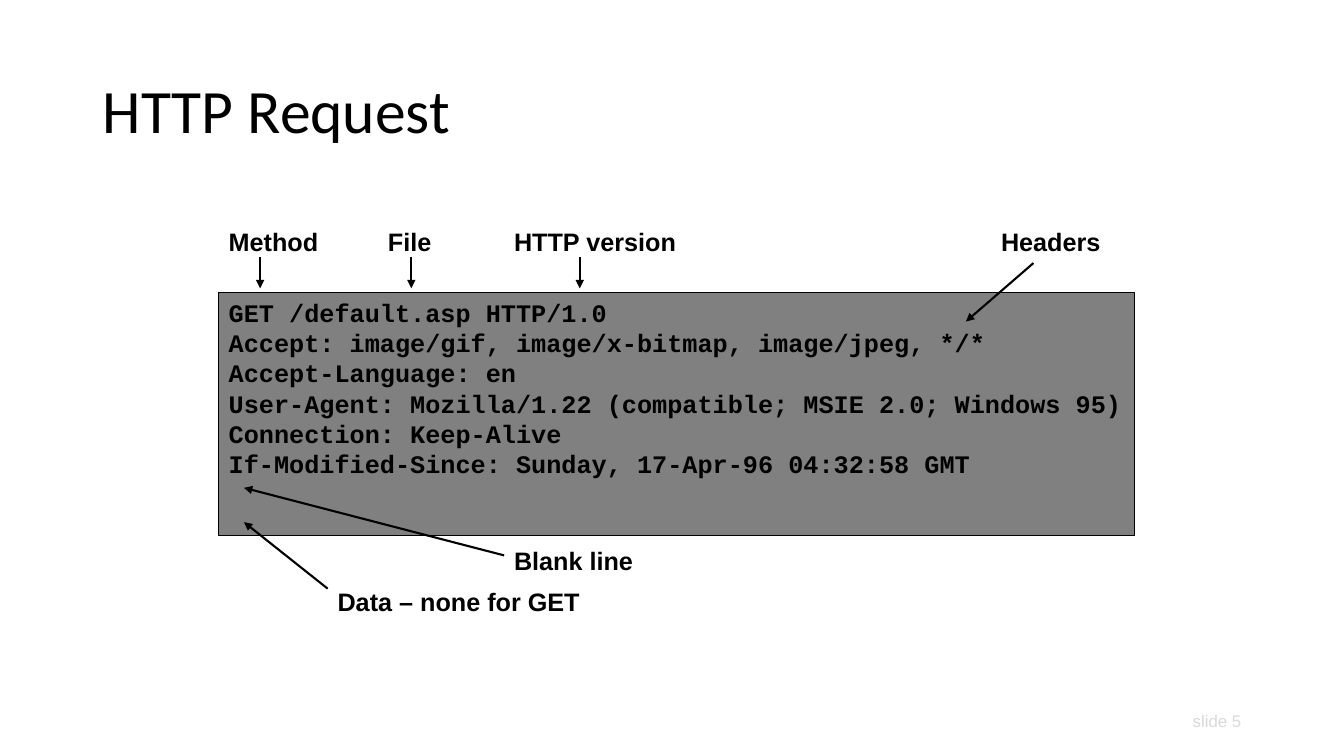
import pptx
import pptx.dml.color
import pptx.enum.shapes
import pptx.enum.text
import pptx.oxml
import pptx.oxml.ns
import pptx.util
from pptx.util import Inches

BLACK = pptx.dml.color.RGBColor(0x00, 0x00, 0x00)
GRAY = pptx.dml.color.RGBColor(0x80, 0x80, 0x80)
PALE_GRAY = pptx.dml.color.RGBColor(0xD9, 0xD9, 0xD9)
ANCHOR = pptx.enum.text.MSO_ANCHOR
ALIGN = pptx.enum.text.PP_ALIGN
AUTO_SIZE = pptx.enum.text.MSO_AUTO_SIZE

presentation = pptx.Presentation()
presentation.slide_width = Inches(13.33)
presentation.slide_height = Inches(7.5)
slide = presentation.slides.add_slide(presentation.slide_layouts[6])


def write_lines(shape, lines, font_name, size, bold=False, color=BLACK, alignment=ALIGN.LEFT):
    font_format = {"name": font_name, "size": pptx.util.Pt(size), "bold": bold}
    frame = shape.text_frame
    frame.text = "\n".join(lines)
    for paragraph in frame.paragraphs:
        paragraph.alignment = alignment
        for run in paragraph.runs:
            for attribute, value in font_format.items():
                setattr(run.font, attribute, value)
            run.font.color.rgb = color
    return frame


request_lines = [
    "GET /default.asp HTTP/1.0",
    "Accept: image/gif, image/x-bitmap, image/jpeg, */*",
    "Accept-Language: en",
    "User-Agent: Mozilla/1.22 (compatible; MSIE 2.0; Windows 95)",
    "Connection: Keep-Alive",
    "If-Modified-Since: Sunday, 17-Apr-96 04:32:58 GMT",
]
request_box = slide.shapes.add_shape(
    pptx.enum.shapes.MSO_SHAPE.RECTANGLE, Inches(2.17), Inches(2.9), Inches(9.08), Inches(2.41)
)
request_box.shadow.inherit = False
request_box.fill.solid()
request_box.fill.fore_color.rgb = GRAY
request_box.line.color.rgb = BLACK
request_box.line.width = pptx.util.Pt(0.75)
request_frame = write_lines(request_box, request_lines, "Courier New", 18, bold=True)
request_frame.word_wrap = True
request_frame.vertical_anchor = ANCHOR.TOP

title = slide.shapes.add_textbox(Inches(0.92), Inches(0.4), Inches(11.5), Inches(1.45))
title_frame = write_lines(title, ["HTTP Request"], "Calibri", 44)
title_frame.word_wrap = True
title_frame.vertical_anchor = ANCHOR.MIDDLE
title_frame.paragraphs[0].line_spacing = 0.9

labels = [
    ("Method", 2.17, 2.2, 1.09),
    ("File", 3.75, 2.2, 0.63),
    ("HTTP version", 5, 2.2, 1.81),
    ("Headers", 9.83, 2.2, 1.19),
    ("Data – none for GET", 3.25, 5.77, 2.6),
    ("Blank line", 5, 5.36, 1.38),
]
for text, left, top, width in labels:
    label = slide.shapes.add_textbox(Inches(left), Inches(top), Inches(width), Inches(0.4))
    label_frame = write_lines(label, [text], "Arial", 18, bold=True)
    label_frame.word_wrap = False
    label_frame.auto_size = AUTO_SIZE.SHAPE_TO_FIT_TEXT

arrows = [(x, 2.55, x, 2.86) for x in (2.58, 4.08, 5.75)] + [
    (10.25, 2.61, 9.58, 3.19),
    (3.25, 5.84, 2.42, 5.18),
    (5, 5.51, 2.42, 4.84),
]
for points in arrows:
    arrow = slide.shapes.add_connector(
        pptx.enum.shapes.MSO_CONNECTOR.STRAIGHT, *[Inches(point) for point in points]
    )
    arrow.line.color.rgb = BLACK
    arrow.line.width = pptx.util.Pt(1.5)
    tail_end = pptx.oxml.parse_xml(f'<a:tailEnd {pptx.oxml.ns.nsdecls("a")} type="triangle"/>')
    arrow.line._get_or_add_ln().append(tail_end)
    effects = pptx.oxml.parse_xml(f'<a:effectLst {pptx.oxml.ns.nsdecls("a")}/>')
    arrow._element.spPr.append(effects)

slide_number = slide.shapes.add_textbox(Inches(10.41), Inches(6.97), Inches(2), Inches(0.36))
number_frame = write_lines(
    slide_number, ["slide 5"], "Arial", 12, color=PALE_GRAY, alignment=ALIGN.RIGHT
)
number_frame.word_wrap = True
number_frame.vertical_anchor = ANCHOR.MIDDLE

presentation.save("out.pptx")
